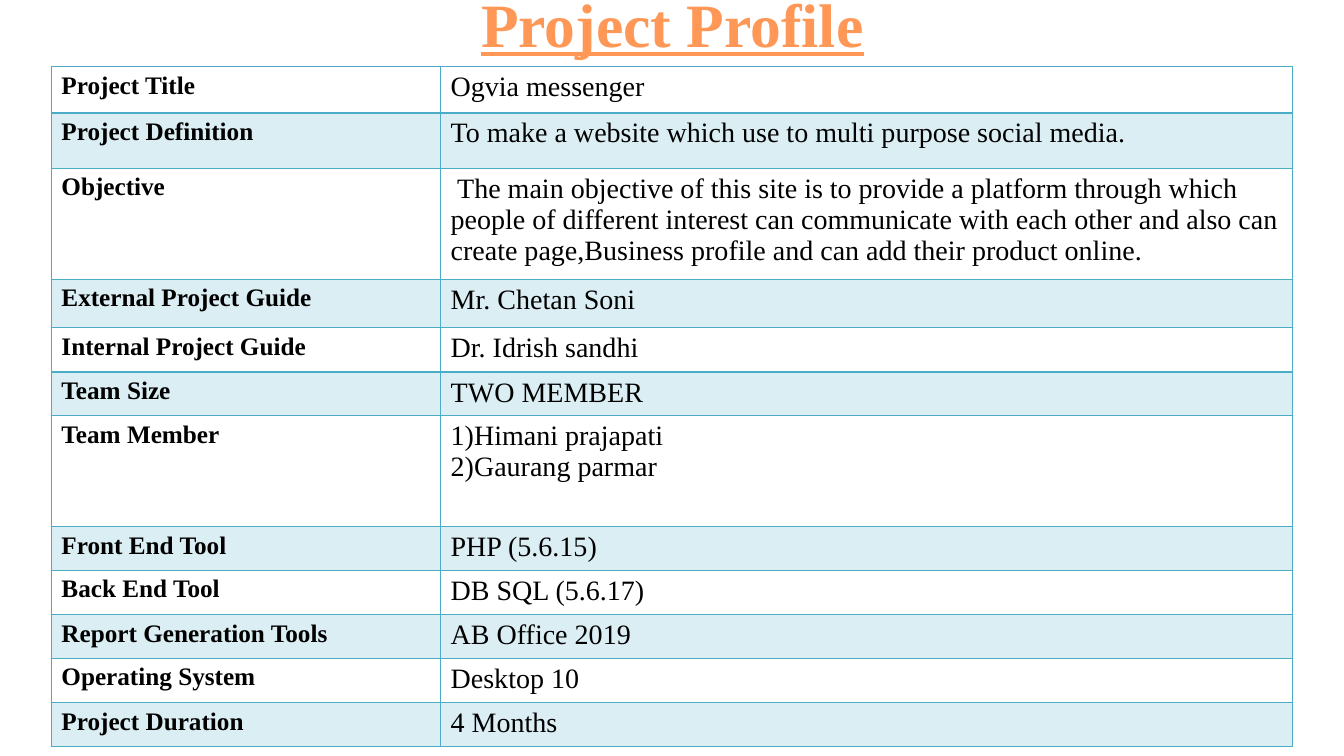
from pptx import Presentation
from pptx.dml.color import RGBColor as RGB
from pptx.enum.text import PP_ALIGN as Align
from pptx.oxml import parse_xml
from pptx.oxml.ns import nsdecls
from pptx.util import Inches, Pt

FONT = "Times New Roman"
ORANGE = RGB(0xFF, 0x98, 0x56)
TEAL = RGB(0x4B, 0xAC, 0xC6)
PALE = RGB(0xDB, 0xEE, 0xF4)
BLACK = RGB(0, 0, 0)

COLS = (3.86, 8.45)
ROWS = [
    (0.46, "Project Title", "Ogvia messenger"),
    (0.55, "Project Definition",
     "To make a website which use to multi purpose social media."),
    (1.1, "Objective",
     " The main objective of this site is to provide a platform through which "
     "people of different interest can communicate with each other and also can "
     "create page,Business profile and can add their product online."),
    (0.48, "External Project Guide", "Mr. Chetan Soni"),
    (0.44, "Internal Project Guide", "Dr. Idrish sandhi"),
    (0.43, "Team Size", "TWO MEMBER"),
    (1.1, "Team Member", "1)Himani prajapati\n2)Gaurang parmar"),
    (0.43, "Front End Tool", "PHP (5.6.15)"),
    (0.44, "Back End Tool", "DB SQL (5.6.17)"),
    (0.43, "Report Generation Tools", "AB Office 2019"),
    (0.44, "Operating System", "Desktop 10"),
    (0.43, "Project Duration", "4 Months"),
]


def write(frame, text, size, color, bold):
    frame.text = text
    for para in frame.paragraphs:
        for run in para.runs:
            font = run.font
            font.name, font.size, font.bold = FONT, Pt(size), bold
            font.color.rgb = color


def edge(cell, widths):
    props = cell._tc.get_or_add_tcPr()
    for spot, (side, width) in enumerate(widths.items()):
        props.insert(spot, parse_xml(
            f'<a:ln{side} {nsdecls("a")} w="{Pt(width)}"><a:solidFill>'
            f'<a:srgbClr val="{TEAL}"/></a:solidFill></a:ln{side}>'))


def add_title(slide, left, top, width, height):
    box = slide.shapes.add_textbox(*map(Inches, (left, top, width, height)))
    frame = box.text_frame
    frame.word_wrap = True
    write(frame, "Project Profile", 44, ORANGE, True)
    para = frame.paragraphs[0]
    para.alignment = Align.CENTER
    para.runs[0].font.underline = True


def add_profile(slide, left, top, width, height):
    table = slide.shapes.add_table(
        len(ROWS), len(COLS), *map(Inches, (left, top, width, height))).table
    table.first_row = table.horz_banding = False
    for col, size in zip(table.columns, COLS):
        col.width = Inches(size)
    for i, (tall, label, value) in enumerate(ROWS):
        table.rows[i].height = Inches(tall)
        for j, text in enumerate((label, value)):
            cell = table.cell(i, j)
            write(cell.text_frame, text, (18, 20)[j], BLACK, j == 0)
            if i % 2:
                cell.fill.solid()
                cell.fill.fore_color.rgb = PALE
            else:
                cell.fill.background()
            edge(cell, {"L": 1, "R": 1, "T": 2 if i == 1 else 1,
                        "B": 2 if i == 0 else 1})


def main():
    deck = Presentation()
    deck.slide_width, deck.slide_height = Inches(13.33), Inches(7.5)
    slide = deck.slides.add_slide(deck.slide_layouts[6])
    add_title(slide, 3.93, -0.19, 5.48, 0.84)
    add_profile(slide, 0.51, 0.66, 12.31, 6.73)
    deck.save("out.pptx")


if __name__ == "__main__":
    main()
